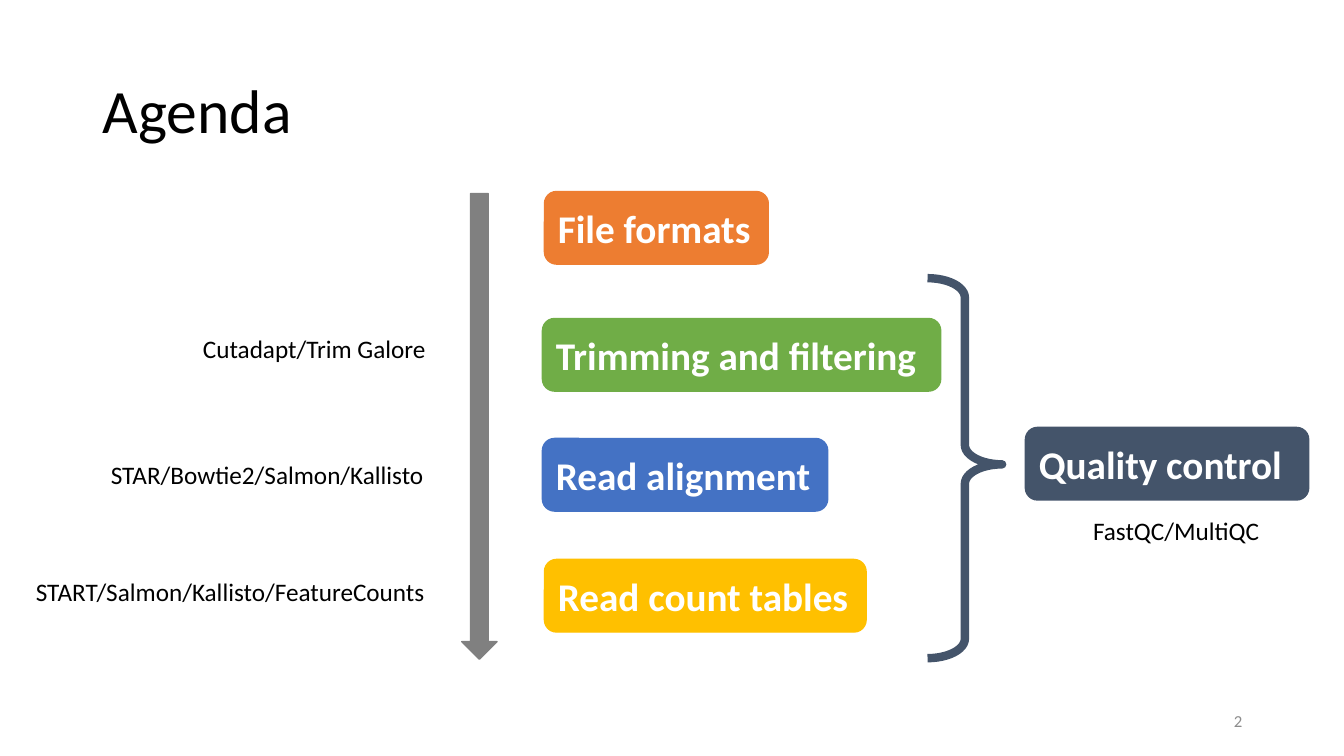
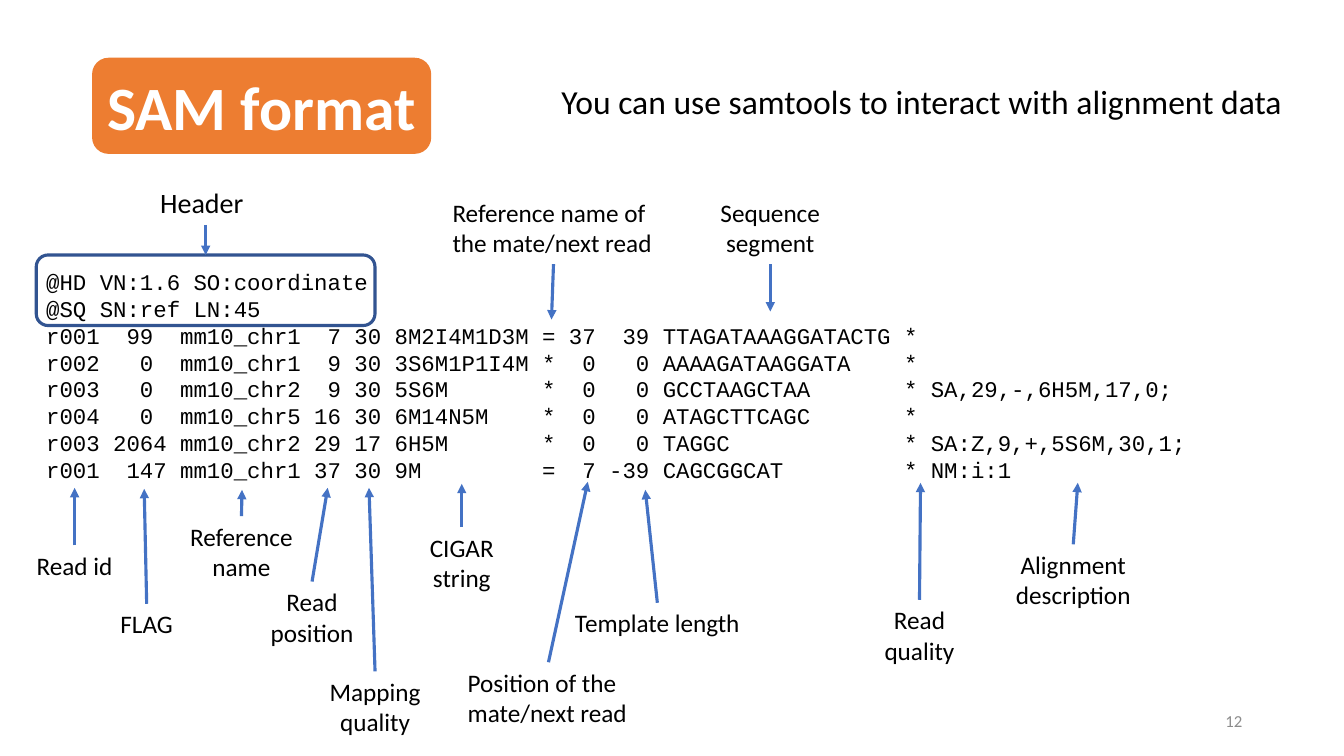
from lxml.etree import SubElement
from pptx import Presentation
from pptx.dml.color import RGBColor as RGB
from pptx.enum.shapes import MSO_CONNECTOR, MSO_SHAPE as Shape
from pptx.enum.text import MSO_ANCHOR as Anchor, MSO_AUTO_SIZE as Fit, PP_ALIGN as Align
from pptx.oxml.ns import qn
from pptx.util import Inches, Pt

BLACK, WHITE = RGB(0, 0, 0), RGB(255, 255, 255)
GREY, PALE = RGB(0x80, 0x80, 0x80), RGB(0x8C, 0x8C, 0x8C)
ORANGE, GREEN = RGB(0xED, 0x7D, 0x31), RGB(0x70, 0xAD, 0x47)
BLUE, GOLD = RGB(0x44, 0x72, 0xC4), RGB(0xFF, 0xC0, 0x00)
SLATE, NAVY = RGB(0x44, 0x54, 0x6A), RGB(0x32, 0x54, 0x91)
LEFT, MID, RIGHT = Align.LEFT, Align.CENTER, Align.RIGHT
TOP, BOTTOM = 0, 2

# text, fill, left, top, width
STEPS = [
    ("File formats", ORANGE, 5.4, 1.9, 2.22),
    ("Trimming and filtering", GREEN, 5.38, 3.16, 3.95),
    ("Read alignment", BLUE, 5.38, 4.35, 2.83),
    ("Read count tables", GOLD, 5.4, 5.55, 3.19),
    ("Quality control", SLATE, 10.17, 4.24, 2.81),
]
STEP_H = 0.72

# text, left, top, width, alignment
TOOLS = [
    ("Cutadapt/Trim Galore", 1.88, 3.26, 2.44, RIGHT),
    ("STAR/Bowtie2/Salmon/Kallisto", 0.96, 4.51, 3.34, RIGHT),
    ("START/Salmon/Kallisto/FeatureCounts", 0.21, 5.67, 4.1, RIGHT),
    ("FastQC/MultiQC", 10.7, 5.06, 1.93, MID),
]

SAM = """@HD VN:1.6 SO:coordinate
@SQ SN:ref LN:45
r001  99  mm10_chr1  7 30 8M2I4M1D3M = 37  39 TTAGATAAAGGATACTG *
r002   0  mm10_chr1  9 30 3S6M1P1I4M *  0   0 AAAAGATAAGGATA    *
r003   0  mm10_chr2  9 30 5S6M       *  0   0 GCCTAAGCTAA       * SA,29,-,6H5M,17,0;
r004   0  mm10_chr5 16 30 6M14N5M    *  0   0 ATAGCTTCAGC       *
r003 2064 mm10_chr2 29 17 6H5M       *  0   0 TAGGC             * SA:Z,9,+,5S6M,30,1;
r001  147 mm10_chr1 37 30 9M         =  7 -39 CAGCGGCAT         * NM:i:1"""

# text, left, top, width, alignment, side the arrow leaves from, arrow tip
FIELDS = [
    ("Read id", 0.26, 5.41, 0.96, MID, TOP, (0.74, 4.84)),
    ("FLAG", 1.09, 5.99, 0.73, MID, TOP, (1.43, 4.85)),
    ("Reference\nname", 1.78, 5.12, 1.23, MID, TOP, (2.4, 4.86)),
    ("Read\nposition", 2.58, 5.77, 1.03, MID, TOP, (3.25, 4.84)),
    ("Mapping\nquality", 3.16, 6.66, 1.12, MID, TOP, (3.66, 4.84)),
    ("CIGAR\nstring", 3.99, 5.23, 1.18, MID, TOP, (4.58, 4.8)),
    ("Reference name of\nthe mate/next read", 4.39, 1.91, 2.2, LEFT, BOTTOM, (5.47, 3.17)),
    ("Position of the\nmate/next read", 4.54, 6.57, 1.8, LEFT, TOP, (5.83, 4.78)),
    ("Template length", 5.59, 5.98, 1.86, MID, TOP, (6.4, 4.86)),
    ("Sequence\nsegment", 7.01, 1.91, 1.26, MID, BOTTOM, (7.64, 3.09)),
    ("Read\nquality", 8.67, 5.95, 0.9, MID, TOP, (9.13, 4.79)),
    ("Alignment\ndescription", 9.97, 5.4, 1.35, MID, TOP, (10.69, 4.79)),
]


def write(shape, text, size, color=BLACK, align=LEFT, bold=False, face="Calibri"):
    shape.text_frame.text = text
    for para in shape.text_frame.paragraphs:
        para.alignment = align
        for run in para.runs:
            font = run.font
            font.name, font.size, font.bold = face, Pt(size), bold
            font.color.rgb = color


def add_text(slide, text, at, size=18, align=LEFT, wrap=False, anchor=Anchor.TOP, **style):
    box = slide.shapes.add_textbox(*map(Inches, at))
    frame = box.text_frame
    frame.word_wrap, frame.vertical_anchor = wrap, anchor
    frame.auto_size = Fit.SHAPE_TO_FIT_TEXT if anchor == Anchor.TOP else Fit.NONE
    write(box, text, size, align=align, **style)
    return box


def add_label(slide, text, left, top, width, align, size=18):
    """Add a caption whose height follows from its number of lines."""
    height = 0.71 if "\n" in text else 0.44 if size > 18 else 0.4
    return add_text(slide, text, (left, top, width, height), size, align)


def add_shape(slide, kind, at, fill=None, line=None, weight=1):
    shape = slide.shapes.add_shape(kind, *map(Inches, at))
    shape.shadow.inherit = False
    if fill is None:
        shape.fill.background()
    else:
        shape.fill.solid()
        shape.fill.fore_color.rgb = fill
    shape.line.color.rgb = line or fill
    shape.line.width = Pt(weight)
    return shape


def add_box(slide, text, fill, at, size=28):
    box = add_shape(slide, Shape.ROUNDED_RECTANGLE, at, fill)
    box.text_frame.vertical_anchor = Anchor.MIDDLE
    write(box, text, size, WHITE, bold=True)


def add_arrow(slide, label, side, tip):
    """Draw an arrow from the middle of a label's side to the tip."""
    x, y = map(Inches, tip)
    arrow = slide.shapes.add_connector(MSO_CONNECTOR.STRAIGHT, x, y, x, y)
    arrow.begin_connect(label, side)
    arrow.line.color.rgb = BLUE
    arrow.line.width = Pt(2.25)
    SubElement(arrow.line._get_or_add_ln(), qn("a:tailEnd"), type="triangle")
    SubElement(arrow._element.spPr, qn("a:effectLst"))
    return arrow


def add_slide(deck, number):
    slide = deck.slides.add_slide(deck.slide_layouts[6])
    add_text(slide, number, (9.42, 6.95, 3, 0.4), 12, RIGHT, True, Anchor.MIDDLE, color=PALE)
    return slide


def add_agenda(deck):
    slide = add_slide(deck, "2")
    title = add_text(slide, "Agenda", (0.92, 0.4, 2.54, 1.45), 44, LEFT, True, Anchor.MIDDLE)
    title.text_frame.paragraphs[0].line_spacing = 0.9
    add_shape(slide, Shape.DOWN_ARROW, (4.58, 1.92, 0.35, 4.62), GREY)
    for text, fill, left, top, width in STEPS:
        add_box(slide, text, fill, (left, top, width, STEP_H))
    for tool in TOOLS:
        add_label(slide, *tool)
    brace = add_shape(slide, Shape.RIGHT_BRACE, (9.2, 2.76, 0.74, 3.77), line=SLATE, weight=6)
    brace.adjustments[0], brace.adjustments[1] = 0.26, 0.49


def add_format(deck):
    slide = add_slide(deck, "12")
    add_box(slide, "SAM format", ORANGE, (0.92, 0.58, 3.35, 0.94), 44)
    add_text(slide, "You can use samtools to interact with alignment data",
             (5.47, 0.75, 7.41, 0.5), 24)
    add_text(slide, SAM, (0.36, 2.61, 11.67, 2.32), 16, wrap=True, face="Courier New")
    frame = add_shape(slide, Shape.ROUNDED_RECTANGLE, (0.36, 2.53, 3.36, 0.7),
                      line=NAVY, weight=2.25)
    header = add_label(slide, "Header", 1.49, 1.79, 1.1, LEFT, 20)
    add_arrow(slide, header, BOTTOM, (2.04, 2.53)).end_connect(frame, TOP)
    for *place, side, tip in FIELDS:
        add_arrow(slide, add_label(slide, *place), side, tip)


def main():
    deck = Presentation()
    deck.slide_width, deck.slide_height = Inches(13.33), Inches(7.5)
    add_agenda(deck)
    add_format(deck)
    deck.save("out.pptx")


if __name__ == "__main__":
    main()
